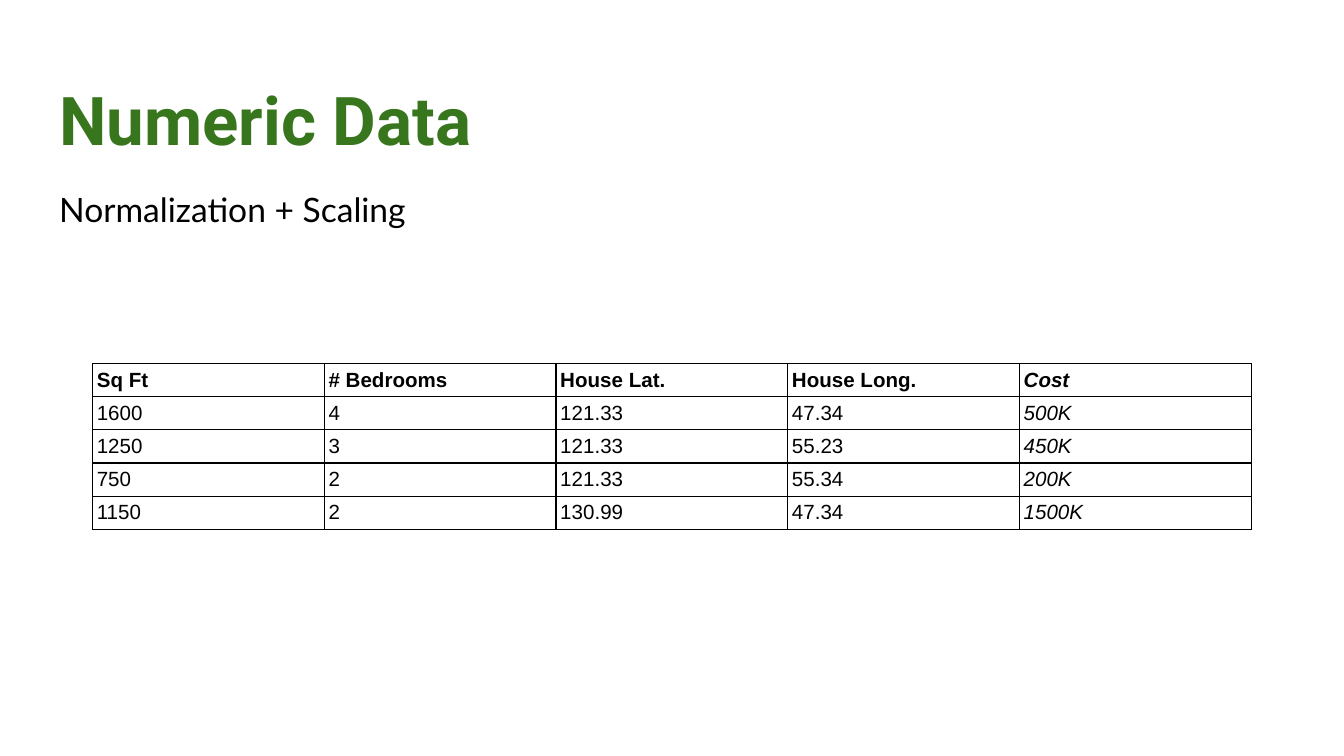
from lxml.etree import SubElement
from pptx import Presentation
from pptx.dml.color import RGBColor
from pptx.enum.text import MSO_ANCHOR
from pptx.oxml.ns import qn
from pptx.util import Cm, Pt

COLORS = {"title": "38761D", "text": "000000", "border": "000000", "cell": "FFFFFF"}

HOUSES = [
    ["Sq Ft", "# Bedrooms", "House Lat.", "House Long.", "Cost"],
    ["1600", "4", "121.33", "47.34", "500K"],
    ["1250", "3", "121.33", "55.23", "450K"],
    ["750", "2", "121.33", "55.34", "200K"],
    ["1150", "2", "130.99", "47.34", "1500K"],
]


def write_text(tf, text, font="Arial", size=11, color="text", bold=False,
               italic=False, spacing=None):
    p = tf.paragraphs[0]
    if spacing:
        p.line_spacing = spacing
    r = p.add_run()
    r.text = text
    r.font.name = font
    r.font.size = Pt(size)
    r.font.bold = bold
    r.font.italic = italic
    r.font.color.rgb = RGBColor.from_string(COLORS[color])


def set_margins(target, margin):
    target.margin_left = target.margin_right = margin
    target.margin_top = target.margin_bottom = margin


def add_text(s, top, height, text, **style):
    sp = s.shapes.add_textbox(Cm(0.87), Cm(top), Cm(23.67), Cm(height))
    tf = sp.text_frame
    tf.word_wrap = True
    set_margins(tf, Cm(0.25))
    write_text(tf, text, **style)


def add_borders(cell):
    props = cell._tc.get_or_add_tcPr()
    for side in ("a:lnL", "a:lnR", "a:lnT", "a:lnB"):
        line = SubElement(props, qn(side), w=str(Pt(0.75)))
        fill = SubElement(line, qn("a:solidFill"))
        SubElement(fill, qn("a:srgbClr"), val=COLORS["border"])


def add_table(s, rows):
    n_rows, n_cols = len(rows), len(rows[0])
    frame = s.shapes.add_table(n_rows, n_cols, Cm(1.75), Cm(6.87),
                               Cm(4.38 * n_cols), Cm(0.61 * n_rows))
    table = frame.table
    table.horz_banding = False
    for i, row in enumerate(rows):
        for j, text in enumerate(row):
            cell = table.cell(i, j)
            set_margins(cell, Cm(0.08))
            cell.vertical_anchor = MSO_ANCHOR.MIDDLE
            add_borders(cell)
            cell.fill.solid()
            cell.fill.fore_color.rgb = RGBColor.from_string(COLORS["cell"])
            write_text(cell.text_frame, text, bold=i == 0, italic=j == n_cols - 1)


def main():
    prs = Presentation()
    prs.slide_width, prs.slide_height = Cm(25.4), Cm(14.29)
    s = prs.slides.add_slide(prs.slide_layouts[6])
    add_text(s, 1.24, 1.6, "Numeric Data", font="Roboto", size=36,
             color="title", bold=True)
    add_text(s, 3.2, 9.5, "Normalization + Scaling", font="Lato", size=18,
             spacing=1.15)
    add_table(s, HOUSES)
    prs.save("out.pptx")


if __name__ == "__main__":
    main()
